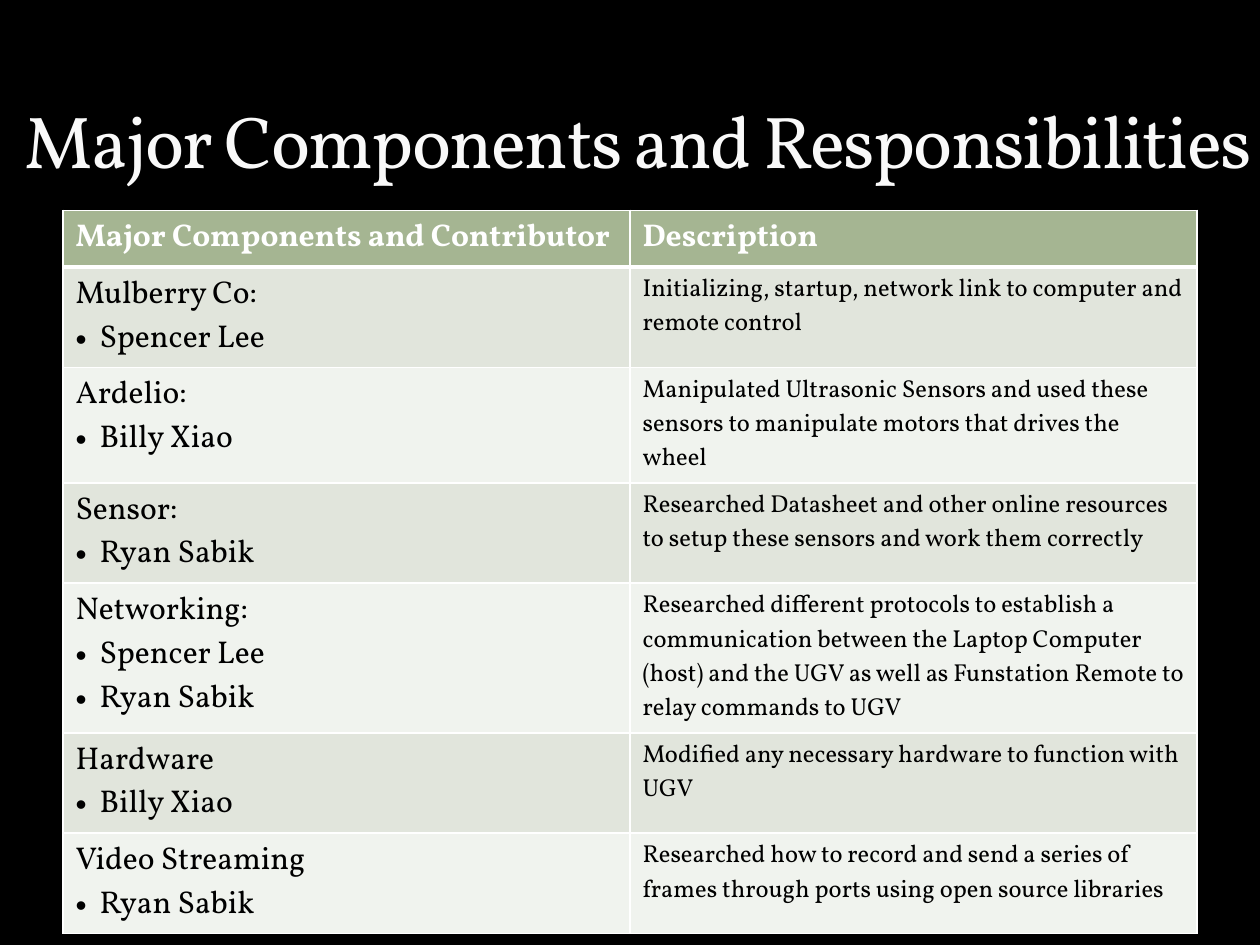
from lxml.etree import SubElement
from pptx import Presentation
from pptx.dml.color import RGBColor
from pptx.enum.text import MSO_ANCHOR
from pptx.oxml import parse_xml
from pptx.oxml.ns import nsdecls, qn
from pptx.util import Inches, Pt

WIDTH, HEIGHT = Inches(10), Inches(7.5)
COLORS = {
    "background": "000000", "title": "F9F9F9", "title_edge": "3C4422",
    "header": "A5B592", "odd": "E1E5DC", "even": "F0F3EE",
    "header_text": "FFFFFF", "body_text": "000000", "border": "FFFFFF",
}
FORMATS = {
    "title": {"name": "Vollkorn", "size": Pt(42), "bold": False},
    "header": {"name": "Vollkorn", "size": Pt(18), "bold": True},
    "component": {"name": "Vollkorn", "size": Pt(18), "bold": False},
    "description": {"name": "Vollkorn", "size": Pt(14), "bold": False},
}
HEADINGS = ("Major Components and Contributor", "Description")
COMPONENTS = [
    ("Mulberry Co:", ["Spencer Lee"],
     "Initializing, startup, network link to computer and remote control"),
    ("Ardelio:", ["Billy Xiao"],
     "Manipulated Ultrasonic Sensors and used these sensors to manipulate "
     "motors that drives the wheel"),
    ("Sensor:", ["Ryan Sabik"],
     "Researched Datasheet and other online resources to setup these sensors "
     "and work them correctly"),
    ("Networking:", ["Spencer Lee", "Ryan Sabik"],
     "Researched different protocols to establish a communication between the "
     "Laptop Computer (host) and the UGV as well as Funstation Remote to relay "
     "commands to UGV"),
    ("Hardware", ["Billy Xiao"],
     "Modified any necessary hardware to function with UGV"),
    ("Video Streaming", ["Ryan Sabik"],
     "Researched how to record and send a series of frames through ports using "
     "open source libraries"),
]


def write(paragraph, text, style, color):
    run = paragraph.add_run()
    run.text = text
    for attribute, value in FORMATS[style].items():
        setattr(run.font, attribute, value)
    run.font.color.rgb = RGBColor.from_string(COLORS[color])
    return run


def add_bullet(paragraph):
    properties = paragraph._p.get_or_add_pPr()
    hanging = Inches(0.19)
    properties.set("marL", str(hanging))
    properties.set("indent", str(-hanging))
    SubElement(properties, qn("a:buFont"), typeface="Arial")
    SubElement(properties, qn("a:buChar"), char="•")


def add_title(slide, text):
    box = slide.shapes.add_textbox(
        int(WIDTH * 0.01), int(HEIGHT * 0.02), int(WIDTH * 1.016), int(HEIGHT * 0.18))
    frame = box.text_frame
    for attribute, value in {"word_wrap": True, "vertical_anchor": MSO_ANCHOR.BOTTOM}.items():
        setattr(frame, attribute, value)
    run = write(frame.paragraphs[0], text, "title", "title")
    # Tight tracking and a faint letter outline
    properties = run.font._element
    properties.set("spc", "-100")
    properties.insert(0, parse_xml(
        f'<a:ln {nsdecls("a")} w="{Pt(0.25)}"><a:solidFill>'
        f'<a:srgbClr val="{COLORS["title_edge"]}"><a:alpha val="25000"/></a:srgbClr>'
        '</a:solidFill></a:ln>'))


def style_cell(cell, fill, top=1, bottom=1):
    cell.fill.solid()
    cell.fill.fore_color.rgb = RGBColor.from_string(COLORS[fill])
    edges = {"lnL": 1, "lnR": 1, "lnT": top, "lnB": bottom}
    for position, (edge, points) in enumerate(edges.items()):
        cell._tc.get_or_add_tcPr().insert(position, parse_xml(
            f'<a:{edge} {nsdecls("a")} w="{Pt(points)}"><a:solidFill>'
            f'<a:srgbClr val="{COLORS["border"]}"/></a:solidFill></a:{edge}>'))


def add_components_table(slide):
    row_count, row_height = len(COMPONENTS) + 1, Inches(0.41)
    table = slide.shapes.add_table(
        row_count, len(HEADINGS), int(WIDTH * 0.05), Inches(1.67),
        int(WIDTH * 0.9), row_height * row_count).table

    # Header row with a heavy lower rule
    for column, heading in enumerate(HEADINGS):
        cell = table.cell(0, column)
        style_cell(cell, "header", bottom=3)
        write(cell.text_frame.paragraphs[0], heading, "header", "header_text")

    # Banded rows: component with its contributors, then description
    for row, (component, contributors, description) in enumerate(COMPONENTS, start=1):
        component_cell, description_cell = table.cell(row, 0), table.cell(row, 1)
        for cell in (component_cell, description_cell):
            style_cell(cell, "odd" if row % 2 else "even", top=3 if row == 1 else 1)
        names = component_cell.text_frame
        write(names.paragraphs[0], component, "component", "body_text")
        for contributor in contributors:
            paragraph = names.add_paragraph()
            add_bullet(paragraph)
            write(paragraph, contributor, "component", "body_text")
        write(description_cell.text_frame.paragraphs[0], description,
              "description", "body_text")


def main():
    presentation = Presentation()
    presentation.slide_width, presentation.slide_height = WIDTH, HEIGHT
    slide = presentation.slides.add_slide(presentation.slide_layouts[6])
    background = slide.background.fill
    background.solid()
    background.fore_color.rgb = RGBColor.from_string(COLORS["background"])
    add_components_table(slide)
    add_title(slide, "Major Components and Responsibilities")
    presentation.save("out.pptx")


if __name__ == "__main__":
    main()
